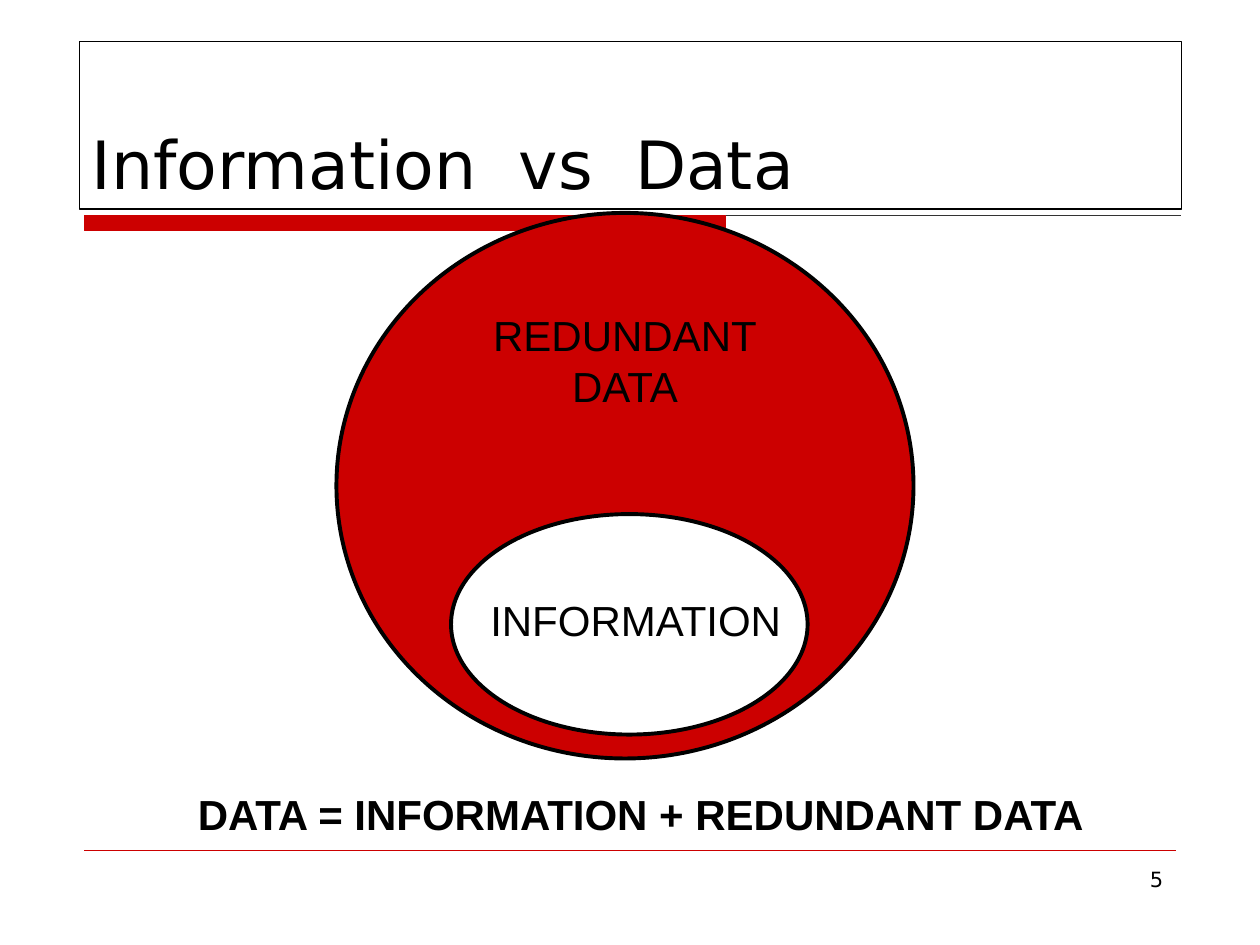
from typing import NamedTuple

import pptx
import pptx.dml.color
import pptx.enum.shapes
import pptx.enum.text
import pptx.util
from lxml import etree
from pptx.oxml.ns import qn
from pptx.util import Inches

COLORS = {"red": "CC0000", "black": "000000", "white": "FFFFFF", "hairline": "333333"}
SHAPES = pptx.enum.shapes.MSO_SHAPE
ALIGN = pptx.enum.text.PP_ALIGN
ANCHOR = pptx.enum.text.MSO_ANCHOR


class Box(NamedTuple):
    left: float
    top: float
    width: float
    height: float


class Outline(NamedTuple):
    box: Box
    kind: int
    fill: str | None
    line: str
    weight: float


class Rule(NamedTuple):
    left: float
    right: float
    y: float
    color: str
    weight: float


class Label(NamedTuple):
    box: Box
    lines: tuple[str, ...]
    bold: bool = False


TITLE_FRAME = Outline(Box(0.63, 0.33, 8.75, 1.33), SHAPES.RECTANGLE, None, "black", 0.75)
TITLE_BAR = Outline(Box(0.67, 1.71, 5.09, 0.12), SHAPES.RECTANGLE, "red", "red", 0.75)
DATA_SET = Outline(Box(2.67, 1.69, 4.58, 4.33), SHAPES.OVAL, "red", "black", 2.25)
INFORMATION_SET = Outline(Box(3.58, 4.08, 2.83, 1.75), SHAPES.OVAL, "white", "black", 2.25)
RULES = [
    Rule(5.76, 9.37, 1.71, "hairline", 0.5),
    Rule(0.67, 9.33, 6.75, "red", 0.75),
]
LABELS = [
    Label(Box(3.75, 2.41, 2.42, 0.9), ("REDUNDANT", "DATA")),
    Label(Box(3.67, 4.67, 2.75, 0.5), ("INFORMATION",)),
    Label(Box(1, 6.21, 8.17, 0.5), ("DATA = INFORMATION + REDUNDANT DATA",), bold=True),
]


def rgb(name: str) -> pptx.dml.color.RGBColor:
    return pptx.dml.color.RGBColor.from_string(COLORS[name])


def draw_outline(slide, outline: Outline):
    shape = slide.shapes.add_shape(outline.kind, *map(Inches, outline.box))
    shape.shadow.inherit = False
    if outline.fill:
        shape.fill.solid()
        shape.fill.fore_color.rgb = rgb(outline.fill)
    else:
        shape.fill.background()
    shape.line.color.rgb = rgb(outline.line)
    shape.line.width = pptx.util.Pt(outline.weight)
    return shape


def draw_rule(slide, rule: Rule) -> None:
    connector = slide.shapes.add_connector(
        pptx.enum.shapes.MSO_CONNECTOR.STRAIGHT,
        Inches(rule.left), Inches(rule.y), Inches(rule.right), Inches(rule.y),
    )
    connector.line.color.rgb = rgb(rule.color)
    connector.line.width = pptx.util.Pt(rule.weight)
    etree.SubElement(connector.element.spPr, qn("a:effectLst"))


def write_text(shape, *lines: str, size: float, font: str = "Arial", bold: bool = False,
               align=ALIGN.CENTER, anchor=ANCHOR.TOP) -> None:
    """Write the lines as one paragraph with line breaks."""
    frame = shape.text_frame
    frame.word_wrap = True
    frame.vertical_anchor = anchor
    paragraph = frame.paragraphs[0]
    paragraph.alignment = align
    for index, line in enumerate(lines):
        if index:
            paragraph.add_line_break()
        run = paragraph.add_run()
        run.text = line
        run.font.name = font
        run.font.size = pptx.util.Pt(size)
        run.font.bold = bold
        run.font.color.rgb = rgb("black")


def add_text_box(slide, box: Box):
    return slide.shapes.add_textbox(*map(Inches, box))


def main() -> None:
    presentation = pptx.Presentation()
    presentation.slide_width = Inches(10)
    presentation.slide_height = Inches(7.5)
    slide = presentation.slides.add_slide(presentation.slide_layouts[6])

    draw_outline(slide, TITLE_BAR)
    for rule in RULES:
        draw_rule(slide, rule)
    page_number = add_text_box(slide, Box(7.17, 6.83, 2.16, 0.52))
    write_text(page_number, "5", size=12, font="DejaVu Sans", align=ALIGN.RIGHT)

    title = draw_outline(slide, TITLE_FRAME)
    write_text(title, "Information  vs  Data", size=38, font="DejaVu Sans",
               align=ALIGN.LEFT, anchor=ANCHOR.BOTTOM)

    for ellipse in (DATA_SET, INFORMATION_SET):
        draw_outline(slide, ellipse)
    for label in LABELS:
        write_text(add_text_box(slide, label.box), *label.lines, size=24, bold=label.bold)

    presentation.save("out.pptx")


if __name__ == "__main__":
    main()
